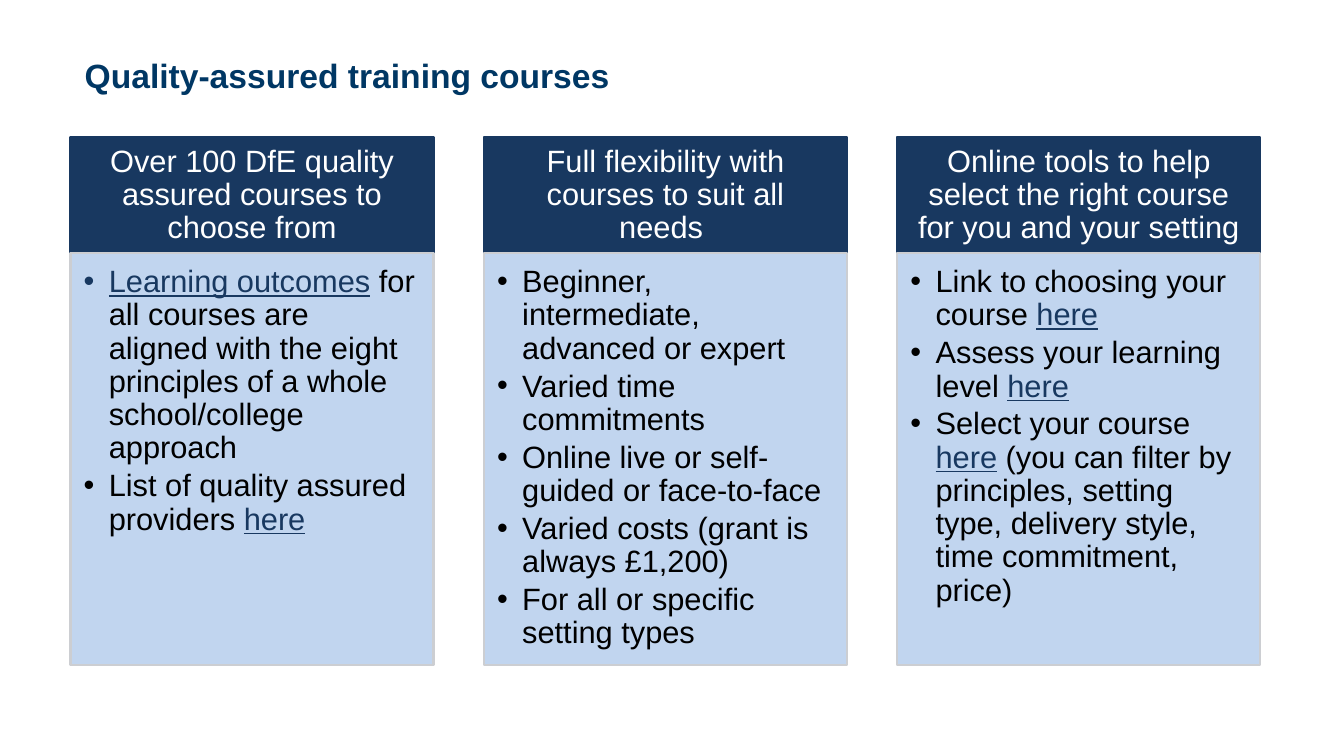
from lxml.etree import SubElement
from pptx import Presentation
from pptx.dml.color import RGBColor
from pptx.enum.shapes import MSO_SHAPE as Shape
from pptx.enum.text import MSO_ANCHOR as Anchor, MSO_AUTO_SIZE as AutoSize, PP_ALIGN as Align
from pptx.oxml.ns import qn
from pptx.util import Inches, Pt

FONT = "Arial"
TITLE_BLUE = RGBColor(0x00, 0x37, 0x64)
NAVY = RGBColor(0x18, 0x38, 0x60)
PALE_BLUE = RGBColor(0xC1, 0xD5, 0xEF)
GREY = RGBColor(0xCC, 0xCE, 0xD2)
WHITE = RGBColor(0xFF, 0xFF, 0xFF)
BLACK = RGBColor(0x00, 0x00, 0x00)

# Column geometry in inches
LEFT, PITCH, WIDTH = 0.7, 4.1, 3.6
HEADER_TOP, HEADER_HEIGHT = 1.36, 1.16
BODY_TOP, BODY_HEIGHT = 2.51, 4.09

# Each column: heading, then bullets made of (text, is_link) spans
COLUMNS = [
    ("Over 100 DfE quality assured courses to choose from", [
        [("Learning outcomes", True),
         (" for all courses are aligned with the eight principles "
          "of a whole school/college approach", False)],
        [("List of quality assured providers ", False), ("here", True)],
    ]),
    ("Full flexibility with courses to suit all needs ", [
        [("Beginner, intermediate, advanced or expert", False)],
        [("Varied time commitments", False)],
        [("Online live or self-guided or face-to-face", False)],
        [("Varied costs (grant is always £1,200)", False)],
        [("For all or specific setting types", False)],
    ]),
    ("Online tools to help select the right course for you and your setting", [
        [("Link to choosing your course ", False), ("here", True)],
        [("Assess your learning level ", False), ("here", True)],
        [("Select your course ", False), ("here", True),
         (" (you can filter by principles, setting type, delivery style, "
          "time commitment, price)", False)],
    ]),
]


def set_frame(frame, insets, anchor):
    frame.word_wrap = True
    frame.auto_size = AutoSize.NONE
    frame.vertical_anchor = anchor
    (frame.margin_left, frame.margin_top,
     frame.margin_right, frame.margin_bottom) = map(Inches, insets)


def style_paragraph(para, size, color, align=Align.LEFT):
    para.alignment = align
    para.line_spacing = 0.9
    para.font.name = FONT
    para.font.size = Pt(size)
    para.font.color.rgb = color


def add_panel(page, left, top, height, fill, line):
    panel = page.shapes.add_shape(
        Shape.RECTANGLE, Inches(left), Inches(top), Inches(WIDTH), Inches(height))
    panel.shadow.inherit = False
    panel.fill.solid()
    panel.fill.fore_color.rgb = fill
    panel.line.color.rgb = line
    panel.line.width = Pt(1.5)
    return panel.text_frame


def add_header(page, left, heading):
    frame = add_panel(page, left, HEADER_TOP, HEADER_HEIGHT, NAVY, NAVY)
    set_frame(frame, (0.17, 0.1, 0.17, 0.1), Anchor.MIDDLE)
    para = frame.paragraphs[0]
    para.text = heading
    style_paragraph(para, 22, WHITE, Align.CENTER)


def add_bullet(para, spans):
    properties = para._p.get_or_add_pPr()
    properties.set("marL", str(Inches(0.25)))
    properties.set("indent", str(Inches(-0.25)))
    SubElement(properties, qn("a:buFont"), typeface=FONT)
    SubElement(properties, qn("a:buChar"), char="•")
    style_paragraph(para, 22, BLACK)
    para.space_after = Pt(3.3)
    for text, is_link in spans:
        span = para.add_run()
        span.text = text
        if is_link:
            span.font.color.rgb = NAVY
            span.font.underline = True


def add_body(page, left, bullets):
    frame = add_panel(page, left, BODY_TOP, BODY_HEIGHT, PALE_BLUE, GREY)
    set_frame(frame, (0.13, 0.13, 0.17, 0.19), Anchor.TOP)
    for index, spans in enumerate(bullets):
        para = frame.add_paragraph() if index else frame.paragraphs[0]
        add_bullet(para, spans)


def set_title(page, text):
    title = page.shapes.title
    title.left, title.top = Inches(0.84), Inches(0.59)
    title.width, title.height = Inches(11.66), Inches(0.56)
    set_frame(title.text_frame, (0, 0, 0, 0), Anchor.TOP)
    para = title.text_frame.paragraphs[0]
    para.text = text
    style_paragraph(para, 24, TITLE_BLUE)
    para.font.bold = True


def main():
    deck = Presentation()
    deck.slide_width, deck.slide_height = Inches(13.33), Inches(7.5)
    page = deck.slides.add_slide(deck.slide_layouts.get_by_name("Title Only"))
    set_title(page, "Quality-assured training courses")

    # Three equal columns
    for index, (heading, bullets) in enumerate(COLUMNS):
        left = LEFT + index * PITCH
        add_header(page, left, heading)
        add_body(page, left, bullets)

    deck.save("out.pptx")


if __name__ == "__main__":
    main()
